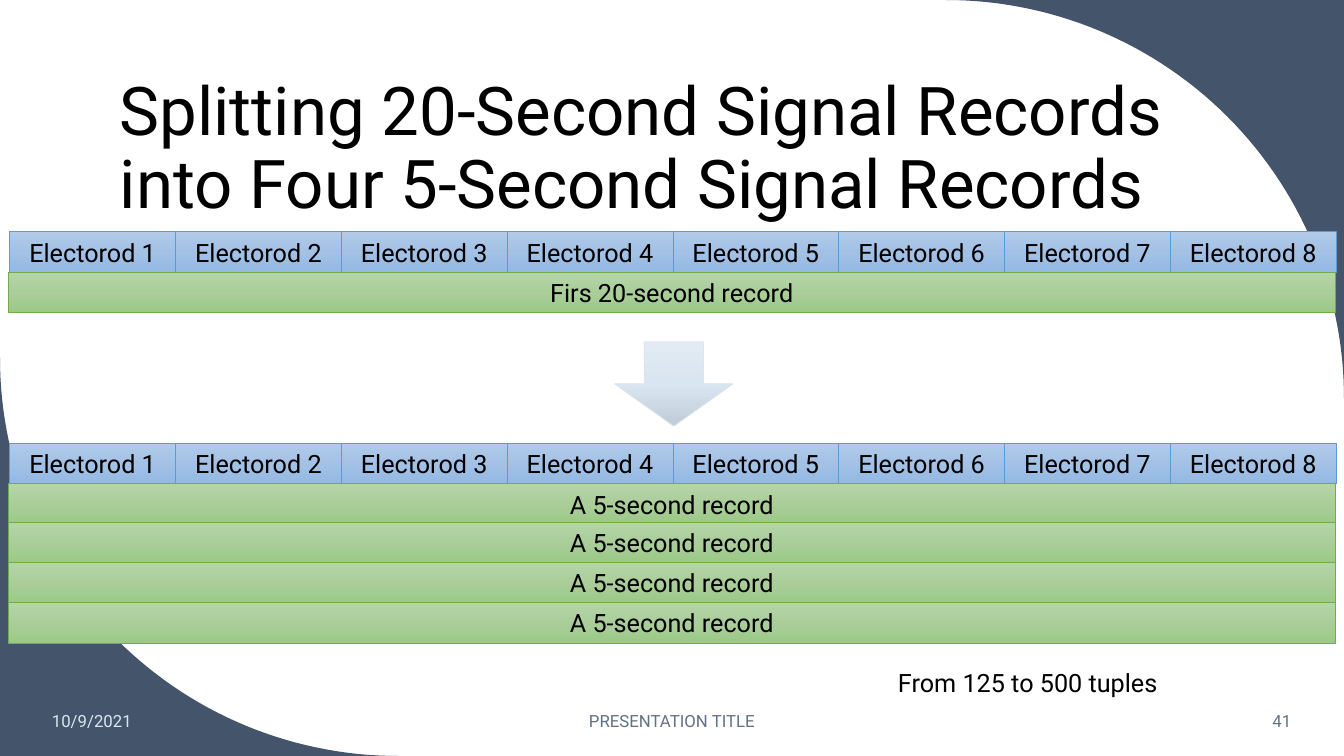
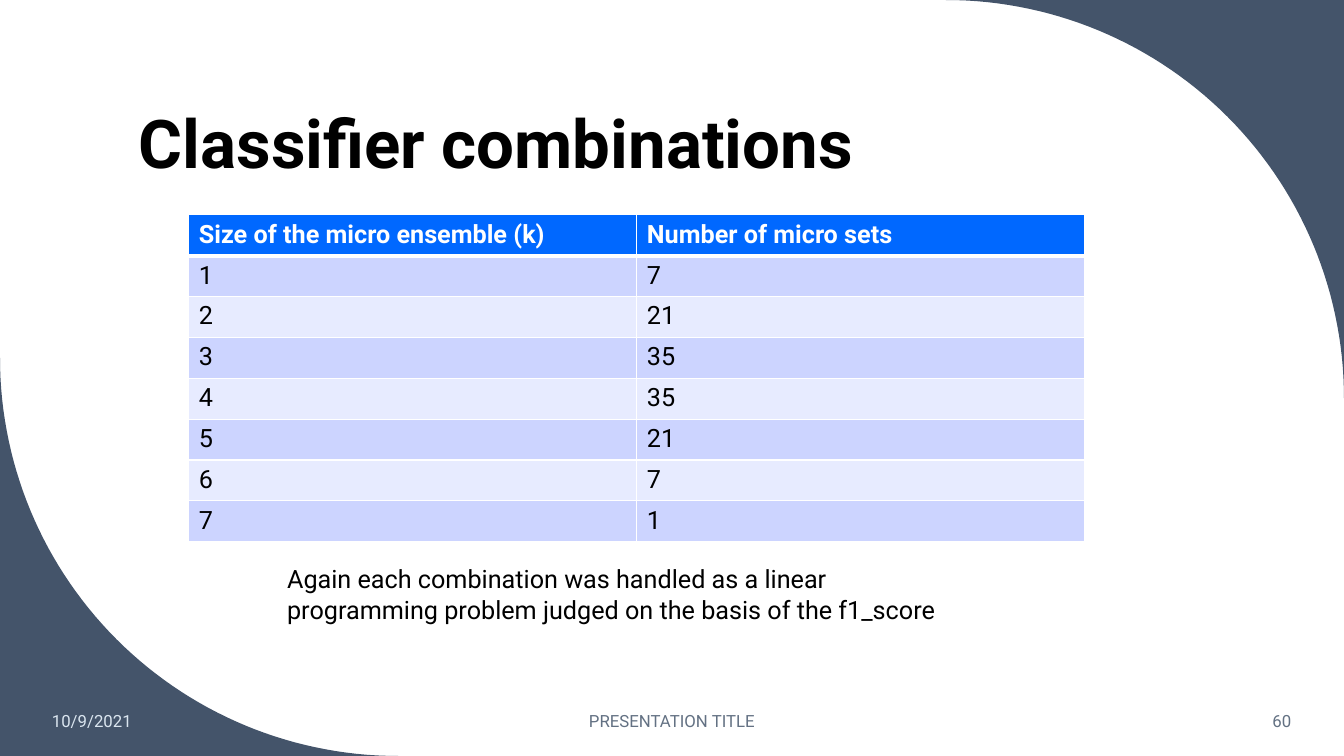
from copy import deepcopy
from dataclasses import dataclass
from math import cos, pi, sin

from lxml.etree import SubElement as Sub
from pptx import Presentation
from pptx.dml.color import RGBColor as Rgb
from pptx.enum.shapes import MSO_SHAPE as Kind
from pptx.enum.text import MSO_ANCHOR as Anchor, PP_ALIGN as Align
from pptx.oxml.ns import qn
from pptx.util import Pt


@dataclass(frozen=True)
class Theme:
    font: str = "Roboto"
    black: str = "000000"
    white: str = "FFFFFF"
    slate: str = "44546A"
    pale: str = "DAE5EF"
    grey: str = "637183"
    head: str = "0068FF"
    bands: tuple = ("CCD4FF", "E7EBFF")
    blue: tuple = ("B1CBE9", "A3C1E5", "93B9E4")
    blue_line: str = "5B9BD5"
    green: tuple = ("B5D5A7", "AACE9A", "9CC987")
    green_line: str = "70AD47"
    ice: tuple = ("E2EBF3", "D9E5F0", "BFCCD7")
    title: int = 48
    body: int = 18
    small: int = 12


T = Theme()
WIDE, HIGH = 960, 540
ROW = 28.8


def pts(box):
    return [Pt(v) for v in box]


def write(frame, text, size=T.body, color=T.black, bold=False,
          align=Align.LEFT, anchor=Anchor.TOP):
    frame.word_wrap = True
    frame.vertical_anchor = anchor
    para = frame.paragraphs[0]
    para.text = text
    para.alignment = align
    font = para.font
    font.name, font.size, font.bold = T.font, Pt(size), bold
    font.color.rgb = Rgb.from_string(color)
    return para


def label(slide, box, text, **style):
    frame = slide.shapes.add_textbox(*pts(box)).text_frame
    return write(frame, text, **style)


def block(slide, kind, box, shades, line, text=None):
    """Shape with a three-stop gradient running downwards."""
    shape = slide.shapes.add_shape(kind, *pts(box))
    shape.shadow.inherit = False
    fill = shape.fill
    fill.gradient()
    fill.gradient_angle = 270
    stops = shape.element.spPr.find(qn("a:gradFill")).find(qn("a:gsLst"))
    stops.insert(1, deepcopy(stops[0]))
    for i, (stop, shade) in enumerate(zip(fill.gradient_stops, shades)):
        stop.position = i / 2
        stop.color.rgb = Rgb.from_string(shade)
    shape.line.color.rgb = Rgb.from_string(line)
    shape.line.width = Pt(0.5)
    if text:
        write(shape.text_frame, text, align=Align.CENTER, anchor=Anchor.MIDDLE)


# Shared frame: curved corners, title and footer
def corners(slide, size=284.4, steps=60):
    arc = [(WIDE - size + size * sin(a), size - size * cos(a))
           for a in (pi / 2 * i / steps for i in range(steps + 1))]
    upper = [(WIDE, 0), *arc]
    lower = [(WIDE - x, HIGH - y) for x, y in upper]
    for path in (upper, lower):
        first, *rest = [tuple(pts(p)) for p in path]
        pen = slide.shapes.build_freeform(*first)
        pen.add_line_segments(rest, close=True)
        shape = pen.convert_to_shape()
        shape.shadow.inherit = False
        shape.fill.solid()
        shape.fill.fore_color.rgb = Rgb.from_string(T.slate)
        shape.line.fill.background()


def footer(slide, top, number):
    for left, wide, text, color, align in (
            (30, 134, "10/9/2021", T.pale, Align.LEFT),
            (318, 324, "PRESENTATION TITLE", T.grey, Align.CENTER),
            (799, 130.5, number, T.grey, Align.RIGHT)):
        label(slide, (left, top, wide, ROW), text, size=T.small, color=color,
              align=align, anchor=Anchor.MIDDLE)


def base(deck, title, spot, number, bold=False):
    slide = deck.slides.add_slide(deck.slide_layouts[6])
    corners(slide)
    footer(slide, 500.5, number)
    para = label(slide, (*spot, 769.7, 104.4), title, size=T.title, bold=bold,
                 anchor=Anchor.BOTTOM)
    para.line_spacing = 0.9
    return slide


# Header row of electrodes above full-width record bars
def records(slide, box, texts, lap=0):
    left, top, wide = box
    step = wide / 8
    for i in range(8):
        block(slide, Kind.FLOWCHART_PROCESS, (left + i * step, top, step, ROW),
              T.blue, T.blue_line, f"Electorod {i + 1}")
    for i, text in enumerate(texts):
        y = top + ROW * (i + 1) - (lap if i else 0)
        block(slide, Kind.FLOWCHART_PROCESS, (left - 0.8, y, wide, ROW),
              T.green, T.green_line, text)


def edge(cell, side, wide):
    line = Sub(cell._tc.get_or_add_tcPr(), qn(f"a:ln{side}"), w=str(Pt(wide)))
    Sub(Sub(line, qn("a:solidFill")), qn("a:srgbClr"), val=T.white)


def grid(slide, box, rows):
    table = slide.shapes.add_table(len(rows), len(rows[0]), *pts(box)).table
    table.horz_banding = False
    for r, row in enumerate(rows):
        table.rows[r].height = Pt(box[3] / len(rows))
        for c, text in enumerate(row):
            cell = table.cell(r, c)
            for side in "LRTB":
                thick = (r, side) in ((0, "B"), (1, "T"))
                edge(cell, side, 3 if thick else 1)
            cell.fill.solid()
            shade = T.bands[(r - 1) % 2] if r else T.head
            cell.fill.fore_color.rgb = Rgb.from_string(shade)
            write(cell.text_frame, str(text), bold=r == 0,
                  color=T.black if r else T.white)


# Slides
def split(deck):
    slide = base(deck, "Splitting 20-Second Signal Records into Four "
                 "5-Second Signal Records", (78.5, 58.3), "41")
    records(slide, (7, 165.6, 947.4), ["Firs 20-second record"])
    records(slide, (7, 316.8, 947.4), ["A 5-second record"] * 4, lap=1.5)
    block(slide, Kind.DOWN_ARROW, (439, 244, 84.6, 60.3), T.ice, T.pale)
    label(slide, (634.3, 473, 289.4, ROW), "From 125 to 500 tuples")


def combos(deck):
    slide = base(deck, "Classifier combinations", (92, 30.2), "60", bold=True)
    label(slide, (198, 399, 479.5, 51), "Again each combination was handled as "
          "a linear programming problem judged on the basis of the f1_score")
    counts = (7, 21, 35, 35, 21, 7, 1)
    grid(slide, (134.9, 153.4, 640, 233.6),
         [("Size of the micro ensemble (k)", "Number of micro sets"),
          *enumerate(counts, 1)])


def main():
    deck = Presentation()
    deck.slide_width, deck.slide_height = Pt(WIDE), Pt(HIGH)
    split(deck)
    combos(deck)
    deck.save("out.pptx")


if __name__ == "__main__":
    main()
